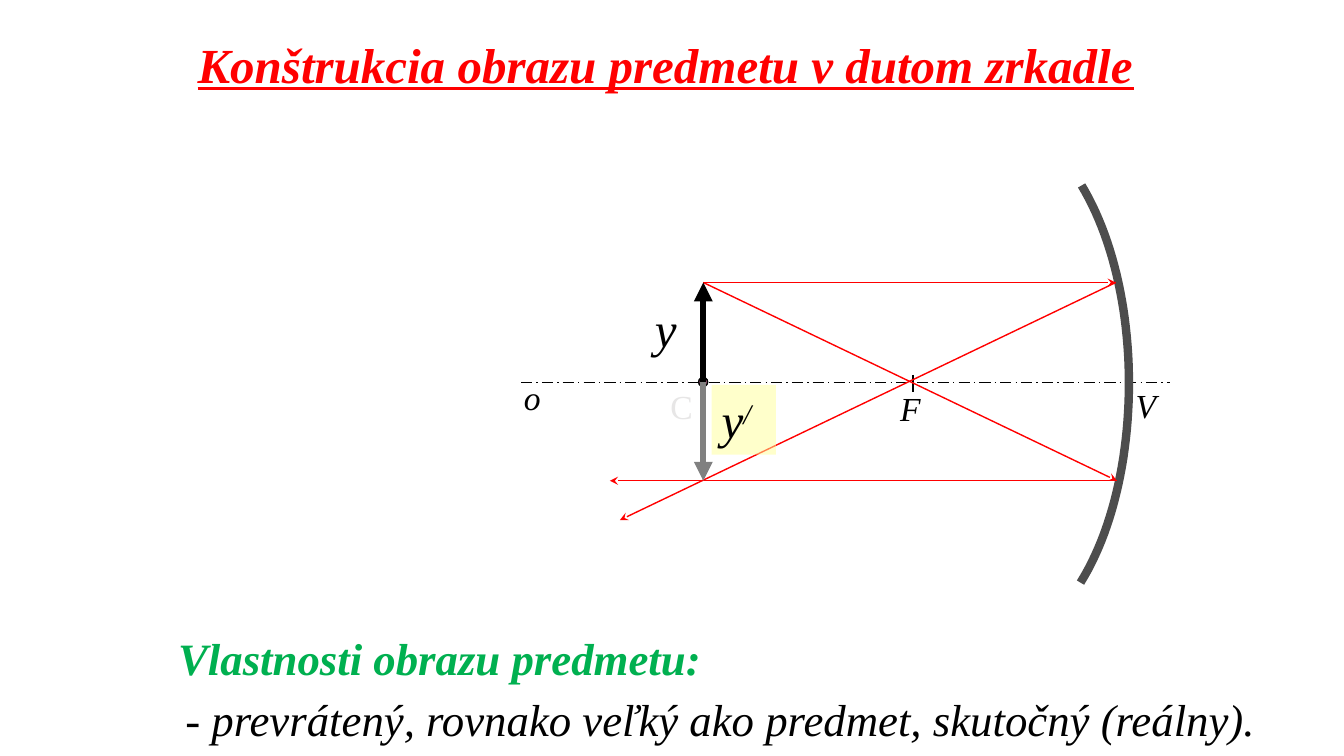
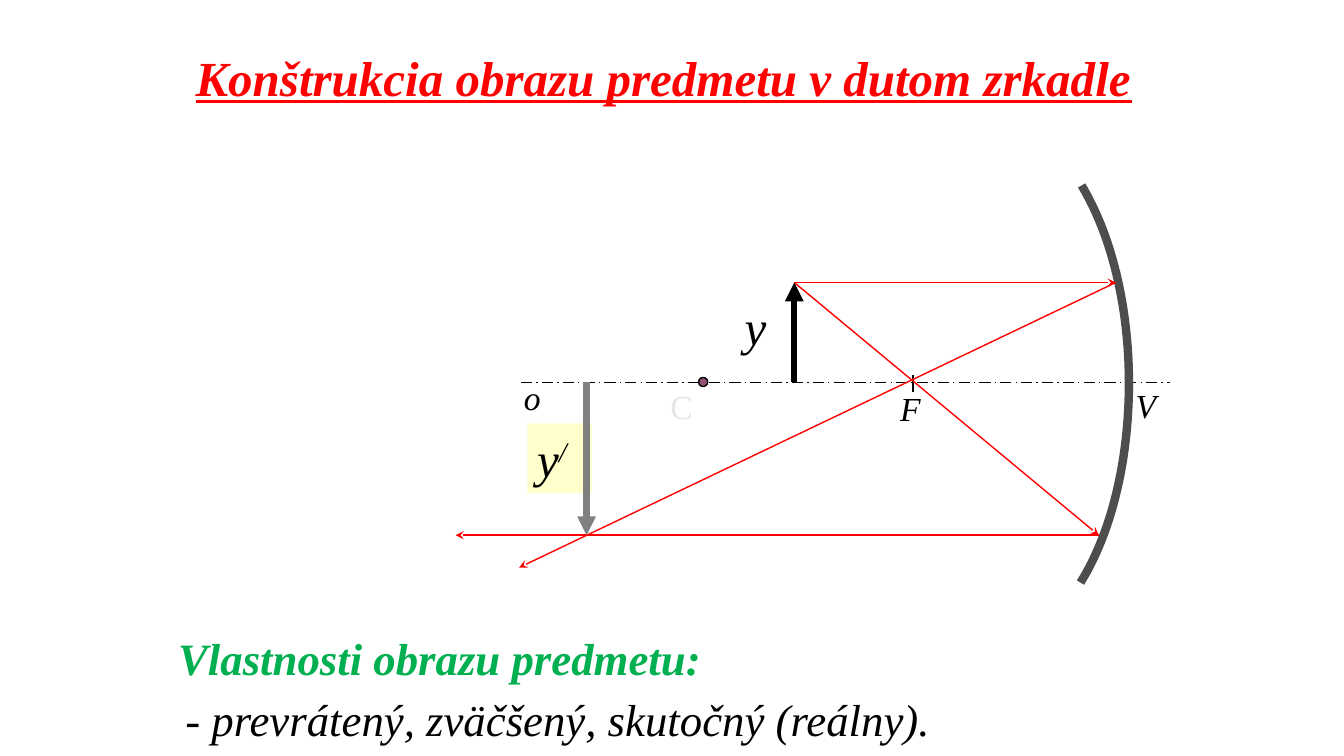
from dataclasses import dataclass

from lxml.etree import SubElement
from pptx import Presentation
from pptx.dml.color import RGBColor
from pptx.enum.dml import MSO_LINE
from pptx.enum.shapes import MSO_CONNECTOR, MSO_SHAPE
from pptx.enum.text import MSO_ANCHOR, MSO_AUTO_SIZE, PP_ALIGN
from pptx.oxml.ns import qn
from pptx.util import Pt

COLOURS = {
    "ray": "FF0000", "title": "FF0000", "heading": "00B050", "text": "000000",
    "mirror": "4D4D4D", "centre": "954F72", "faint": "E7E6E6",
    "image": "808080", "highlight": "FFFF99",
}
FONT = "Times New Roman"
TITLE = "Konštrukcia obrazu predmetu v dutom zrkadle"
HEADING = "Vlastnosti obrazu predmetu:"

# Optical layout shared by both slides, in points
AXIS_Y = 273.2
OBJECT_TOP = 201.8
CENTRE_X = 502.4
FOCUS_X = 652.3
MIRROR_HIT_X = 797
MIRROR_CURVES = [
    [(772.6, 132.5), (794.2, 168.5), (806.4, 219.6), (806.4, 273.6)],
    [(806.4, 273.6), (806.4, 328.3), (794.2, 380.2), (771.8, 416.2)],
]
CURVE_STEPS = 24

Point = tuple[float, float]


@dataclass(frozen=True)
class Label:
    text: str
    left: float
    top: float
    colour: str = "text"
    italic: bool = True


@dataclass(frozen=True)
class MirrorCase:
    title_at: Point
    object_x: float
    image_x: float
    image_y: float
    lower_hit_x: float
    parallel_end_x: float
    focal_end: Point
    object_label: Point
    image_label: Point
    properties: str
    properties_width: float


AXIS_LABELS = [
    Label("V", 804.2, 271.4),
    Label("o", 367.2, 265.7),
    Label("F", 635.8, 273.6),
    Label("C", 471.7, 272.2, "faint", False),
]
CASES = [
    MirrorCase((133.9, 20.9), CENTRE_X, CENTRE_X, 343.4, 797.8, 435.6,
               (442.8, 371.5), (460.8, 209.5), (508.3, 275),
               "- prevrátený, rovnako veľký ako predmet, skutočný (reálny).", 787),
    MirrorCase((132.5, 30.2), 567.4, 419, 382.3, 784.8, 325.4,
               (370.8, 405.4), (524.9, 208.1), (376.6, 302.4),
               "- prevrátený, zväčšený, skutočný (reálny).", 552.2),
]


def colour(name: str) -> RGBColor:
    return RGBColor.from_string(COLOURS[name])


def add_run(paragraph, text: str, size: float, colour_name: str = "text", *,
            bold: bool = False, italic: bool = True, underline: bool = False):
    run = paragraph.add_run()
    run.text = text
    font = run.font
    font.name, font.size = FONT, Pt(size)
    font.bold, font.italic, font.underline = bold, italic, underline
    font.color.rgb = colour(colour_name)
    return run


def prepare_text(shape):
    """Set the common frame format and return the first paragraph."""
    frame = shape.text_frame
    frame.word_wrap = True
    frame.auto_size = MSO_AUTO_SIZE.NONE
    frame.vertical_anchor = MSO_ANCHOR.TOP
    paragraph = frame.paragraphs[0]
    paragraph.alignment = PP_ALIGN.LEFT
    return paragraph


def add_text(shapes, text: str, at: Point, box: Point, size: float,
             colour_name: str = "text", **style: bool) -> None:
    shape = shapes.add_textbox(*map(Pt, at + box))
    add_run(prepare_text(shape), text, size, colour_name, **style)


def add_line(shapes, start: Point, end: Point, colour_name: str = "text",
             width: float = 1, arrow: str = "", dash=None) -> None:
    line = shapes.add_connector(MSO_CONNECTOR.STRAIGHT, *map(Pt, start + end))
    line.line.color.rgb = colour(colour_name)
    line.line.width = Pt(width)
    if dash is not None:
        line.line.dash_style = dash
    if arrow:
        SubElement(line.line._get_or_add_ln(), qn("a:tailEnd"), type=arrow)
    SubElement(line._element.spPr, qn("a:effectLst"))


def curve_point(curve: list[Point], t: float) -> Point:
    """Point of a cubic Bézier curve, in EMU."""
    weights = ((1 - t) ** 3, 3 * t * (1 - t) ** 2, 3 * t * t * (1 - t), t ** 3)
    x, y = (sum(w * p[axis] for w, p in zip(weights, curve)) for axis in (0, 1))
    return Pt(x), Pt(y)


def add_mirror(shapes) -> None:
    points = [curve_point(curve, step / CURVE_STEPS)
              for curve in MIRROR_CURVES for step in range(CURVE_STEPS + 1)]
    builder = shapes.build_freeform(*points[0])
    builder.add_line_segments(points[1:], close=False)
    mirror = builder.convert_to_shape()
    mirror.shadow.inherit = False
    mirror.fill.background()
    mirror.line.color.rgb = colour("mirror")
    mirror.line.width = Pt(6)


def add_apparatus(slide) -> None:
    """Optical axis, mirror, centre and focus, as one group."""
    shapes = slide.shapes.add_group_shape().shapes
    add_line(shapes, (372.2, AXIS_Y), (835.9, AXIS_Y), dash=MSO_LINE.LONG_DASH_DOT)
    add_mirror(shapes)
    centre = shapes.add_shape(MSO_SHAPE.OVAL, *map(Pt, (499, 269.6, 6.5, 6.5)))
    centre.shadow.inherit = False
    centre.fill.solid()
    centre.fill.fore_color.rgb = colour("centre")
    centre.line.color.rgb = colour("text")
    centre.line.width = Pt(1)
    for label in AXIS_LABELS:
        add_text(shapes, label.text, (label.left, label.top), (36, 36), 24,
                 label.colour, italic=label.italic)
    add_line(shapes, (FOCUS_X, 267.8), (FOCUS_X, 280.1))


def add_image_label(slide, at: Point) -> None:
    shape = slide.shapes.add_shape(MSO_SHAPE.RECTANGLE, *map(Pt, at + (46, 49.7)))
    shape.shadow.inherit = False
    shape.fill.solid()
    shape.fill.fore_color.rgb = colour("highlight")
    SubElement(shape.fill._xPr.find(".//" + qn("a:srgbClr")), qn("a:alpha"), val="50000")
    shape.line.fill.background()
    paragraph = prepare_text(shape)
    add_run(paragraph, "y", 35)
    prime = add_run(paragraph, "/", 35)
    prime.font._element.set("baseline", "30000")


def add_rays(slide, case: MirrorCase) -> None:
    tip = (case.object_x, OBJECT_TOP)
    upper_hit = (MIRROR_HIT_X, OBJECT_TOP)
    lower_hit = (case.lower_hit_x, case.image_y)
    for start, end in (
        (tip, upper_hit),
        (upper_hit, case.focal_end),
        (tip, lower_hit),
        (lower_hit, (case.parallel_end_x, case.image_y)),
    ):
        add_line(slide.shapes, start, end, "ray", arrow="stealth")


def add_case(presentation, case: MirrorCase) -> None:
    slide = presentation.slides.add_slide(presentation.slide_layouts[5])
    shapes = slide.shapes

    # Title
    title = shapes.title
    title.left, title.top, title.width, title.height = map(Pt, case.title_at + (689, 49.7))
    add_run(prepare_text(title), TITLE, 35, "title", bold=True, underline=True)

    # Diagram
    add_apparatus(slide)
    add_rays(slide, case)
    add_line(shapes, (case.object_x, AXIS_Y), (case.object_x, OBJECT_TOP),
             width=4.5, arrow="triangle")
    add_text(shapes, "y", case.object_label, (36, 49), 35)
    add_image_label(slide, case.image_label)
    add_line(shapes, (case.image_x, AXIS_Y), (case.image_x, case.image_y),
             "image", width=4.5, arrow="triangle")

    # Properties of the image
    add_text(shapes, HEADING, (120.2, 447.1), (391.7, 46), 32, "heading", bold=True)
    add_text(shapes, case.properties, (125.3, 490.3), (case.properties_width, 46), 32)


def main() -> None:
    presentation = Presentation()
    presentation.slide_width, presentation.slide_height = Pt(960), Pt(540)
    for case in CASES:
        add_case(presentation, case)
    presentation.save("out.pptx")


if __name__ == "__main__":
    main()
